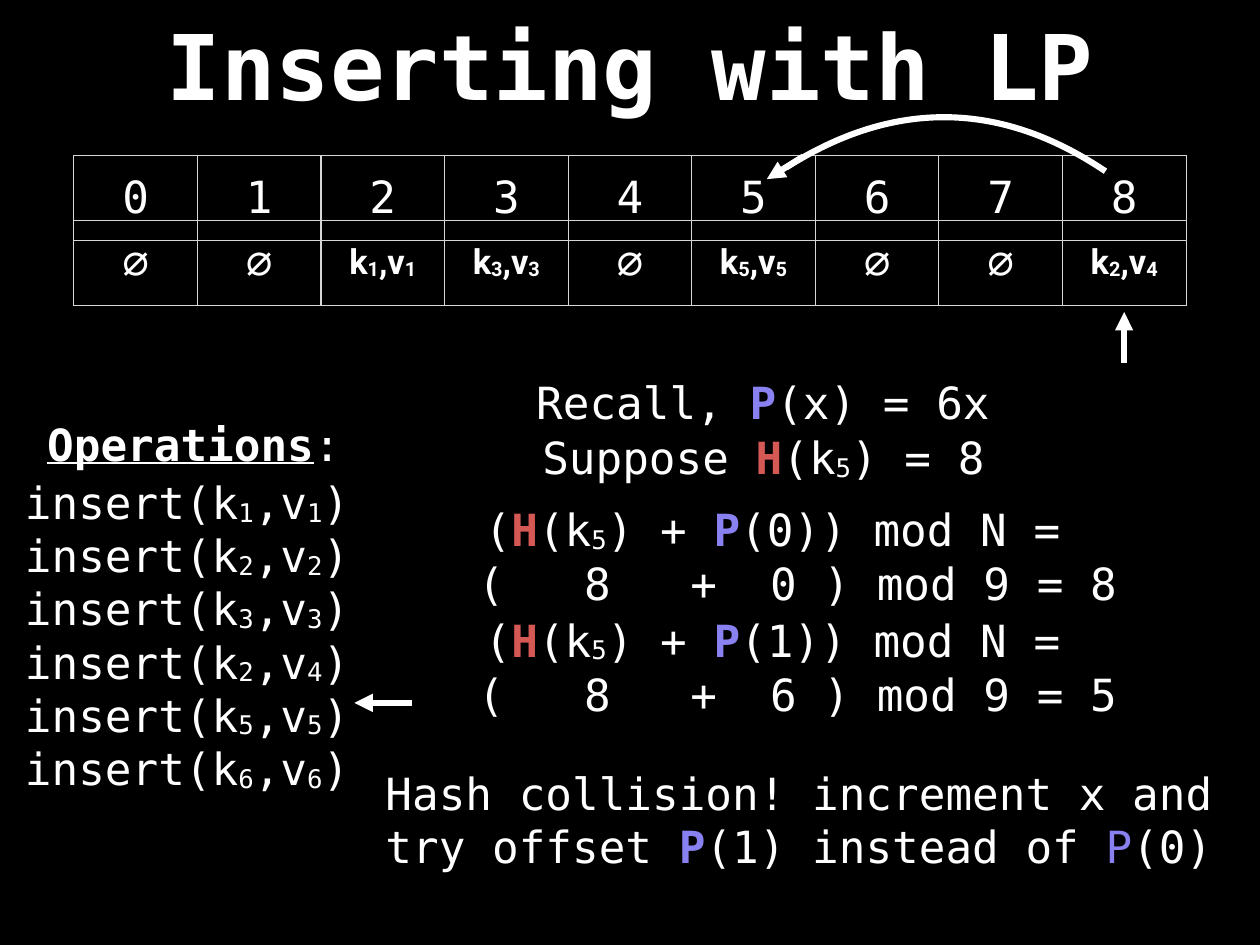
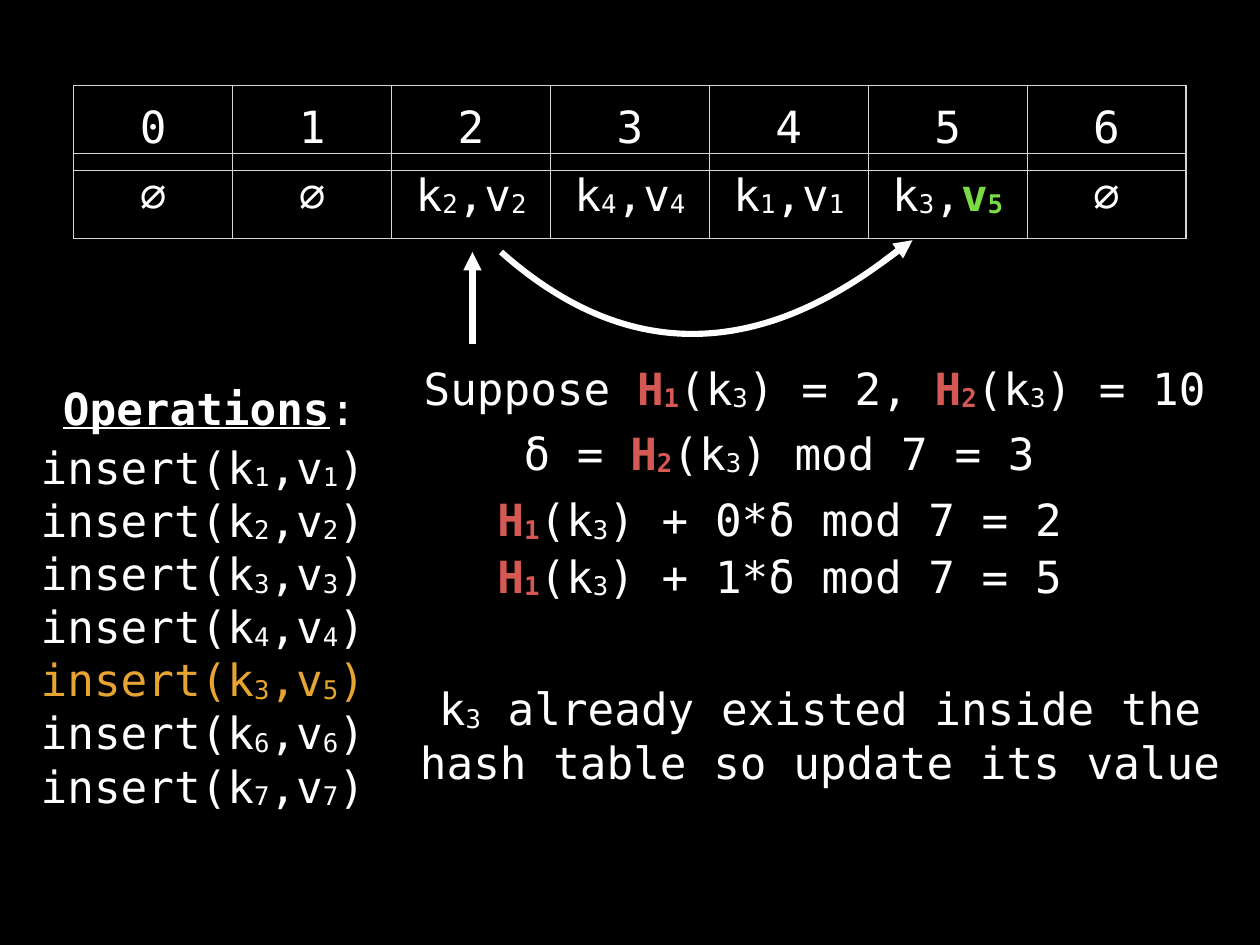
from lxml import etree
from pptx import Presentation
from pptx import util as u
from pptx.dml.color import RGBColor
from pptx.enum import shapes, text
from pptx.oxml.ns import qn

BLACK = RGBColor(0x00, 0x00, 0x00)
WHITE = RGBColor(0xFF, 0xFF, 0xFF)
GRID_LINE = RGBColor(0xD6, 0xD6, 0xD6)
RED = RGBColor(0xD4, 0x58, 0x54)
PURPLE = RGBColor(0x89, 0x81, 0xF0)
GREEN = RGBColor(0x7B, 0xDB, 0x45)
ORANGE = RGBColor(0xE8, 0xA4, 0x32)
EMPHASIS = {"H": RED, "P": PURPLE, "v": GREEN}

MONO, SANS = "DejaVu Sans Mono", "Roboto"
BODY_SIZE, TITLE_SIZE = 36, 73.6
COLUMNS, ROWS = 128, 96
UNIT = u.Pt(8)
CHARACTER = u.Inches(0.3)
LINE = 6.1
TABLE_LEFT, TABLE_WIDTH, TABLE_ROW = 7.5, 113, 8.6
CENTER, LEFT = text.PP_ALIGN.CENTER, text.PP_ALIGN.LEFT


def grid(*lengths):
    return [round(length * UNIT) for length in lengths]


def pieces(markup):
    """Yield (text, emphasis colour, is subscript): |..| emphasises, _ lowers one character."""
    for part_index, part in enumerate(markup.split("|")):
        colour = EMPHASIS.get(part[0], WHITE) if part_index % 2 else None
        for bit_index, bit in enumerate(part.split("_")):
            if bit_index:
                yield bit[0], colour, True
                bit = bit[1:]
            if bit:
                yield bit, colour, False


class Deck:
    def __init__(self):
        self.prs = Presentation()
        self.prs.slide_width, self.prs.slide_height = grid(COLUMNS, ROWS)
        background = self.prs.slide_master.background.fill
        background.solid()
        background.fore_color.rgb = BLACK
        self.slide = None

    def new_slide(self, title=None):
        layout = self.prs.slide_layouts.get_by_name("Title Only" if title else "Blank")
        self.slide = self.prs.slides.add_slide(layout)
        if title:
            heading = self.slide.shapes.title
            heading.left, heading.top, heading.width, heading.height = grid(0, 0.7, COLUMNS, 11.7)
            self.frame(heading.text_frame)
            self.add_runs(heading.text_frame.paragraphs[0], title, CENTER, TITLE_SIZE, bold=True)

    def frame(self, frame, wrap=True, anchor=text.MSO_ANCHOR.MIDDLE):
        frame.margin_left = frame.margin_right = u.Inches(0.06)
        frame.margin_top = frame.margin_bottom = u.Inches(0.06)
        frame.word_wrap = wrap
        frame.vertical_anchor = anchor

    def add_runs(self, paragraph, markup, align=LEFT, size=BODY_SIZE, font=MONO,
                 colour=WHITE, bold=False):
        paragraph.alignment = align
        for words, emphasis, lowered in pieces(markup):
            run = paragraph.add_run()
            run.text = words
            run.font.name = font
            run.font.size = u.Pt(size)
            run.font.bold = bold or emphasis is not None
            run.font.color.rgb = emphasis or colour
            if lowered:
                run.font._element.set("baseline", "-6000")

    def text(self, left, top, width, *lines, height=LINE, align=CENTER, wrap=False,
             anchor=text.MSO_ANCHOR.MIDDLE, highlighted=None):
        """Add lines of markup and return their paragraphs."""
        frame = self.slide.shapes.add_textbox(*grid(left, top, width, height)).text_frame
        self.frame(frame, wrap, anchor)
        for index, line in enumerate(lines):
            paragraph = frame.add_paragraph() if index else frame.paragraphs[0]
            self.add_runs(paragraph, line, align, colour=ORANGE if line == highlighted else WHITE)
        return frame.paragraphs

    def operations(self, left, top, pairs, highlighted=None):
        heading = self.text(left, top, 31, "|Operations|:")[0]
        heading.runs[0].font.underline = True
        calls = [f"insert(k_{key},v_{value})" for key, value in pairs]
        self.text(left - 2.2, top + 5.75, 37.3, *calls, height=5.3 * len(calls), align=LEFT,
                  anchor=text.MSO_ANCHOR.TOP, highlighted=highlighted)

    def aligned_sum(self, left, top, line):
        """Add a sum whose terms stand under those of the line above."""
        paragraph = self.text(left, top, 70, line, align=LEFT, wrap=True)[0]
        tabs = etree.SubElement(paragraph._p.get_or_add_pPr(), qn("a:tabLst"))
        for characters in (4, 8, 11):
            etree.SubElement(tabs, qn("a:tab"), pos=str(characters * CHARACTER), algn="l")

    def table_row(self, top, entries, pair_font=MONO, pair_size=BODY_SIZE, pair_bold=False):
        shape = self.slide.shapes.add_table(
            1, len(entries), *grid(TABLE_LEFT, top, TABLE_WIDTH, TABLE_ROW))
        table = shape.table
        table.first_row = table.horz_banding = False
        for cell, entry in zip(table.rows[0].cells, entries):
            cell.margin_left = cell.margin_right = u.Inches(0.06)
            cell.margin_top = cell.margin_bottom = u.Inches(0.06)
            cell.vertical_anchor = text.MSO_ANCHOR.MIDDLE
            for side in ("lnL", "lnR", "lnT", "lnB"):
                border = etree.SubElement(cell._tc.get_or_add_tcPr(), qn(f"a:{side}"),
                                          w=str(u.Pt(1)))
                fill = etree.SubElement(border, qn("a:solidFill"))
                etree.SubElement(fill, qn("a:srgbClr"), val=str(GRID_LINE))
            cell.fill.background()
            style = (pair_size, pair_font, WHITE, pair_bold) if "k" in entry else ()
            self.add_runs(cell.text_frame.paragraphs[0], entry, CENTER, *style)

    def hash_table(self, top, value_offset, values, **pair_style):
        self.table_row(top + value_offset, values, **pair_style)
        self.table_row(top, [str(index) for index in range(len(values))])

    def stroke(self, line):
        line.color.rgb = WHITE
        line.width = u.Pt(5)

    def arrow(self, *ends):
        arrow = self.slide.shapes.add_connector(shapes.MSO_CONNECTOR.STRAIGHT, *grid(*ends))
        self.stroke(arrow.line)
        etree.SubElement(arrow.line._get_or_add_ln(), qn("a:tailEnd"), type="triangle")
        etree.SubElement(arrow._element.spPr, qn("a:effectLst"))

    def curve(self, start, *controls_and_end):
        """Draw one cubic curve through two control points."""
        builder = self.slide.shapes.build_freeform(*grid(*start))
        builder.add_line_segments([grid(*point) for point in controls_and_end], close=False)
        shape = builder.convert_to_shape()
        shape.shadow.inherit = False
        shape.fill.background()
        self.stroke(shape.line)
        outline = next(shape._element.iter(qn("a:path")))
        bezier = etree.SubElement(outline, qn("a:cubicBezTo"))
        for segment in outline.findall(qn("a:lnTo")):
            bezier.append(segment[0])
            outline.remove(segment)


def linear_probing(deck):
    deck.new_slide("Inserting with LP")
    deck.hash_table(15.8, 6.6, ["∅", "∅", "k_1,v_1", "k_3,v_3", "∅", "k_5,v_5", "∅", "∅", "k_2,v_4"],
                    pair_font=SANS, pair_size=28, pair_bold=True)
    deck.curve((79.9, 17), (90.8, 10.1), (101.6, 10.2), (112.3, 17.4))
    deck.arrow(81.6, 15.9, 77.9, 18.2)
    deck.arrow(114.2, 36.9, 114.2, 31.7)

    deck.operations(4.2, 42, [(1, 1), (2, 2), (3, 3), (2, 4), (5, 5), (6, 6)])
    deck.arrow(41.85, 71.4, 36, 71.4)

    deck.text(53.9, 37.8, 47.2, "Recall, |P|(x) = 6x")
    deck.text(54.4, 43.4, 46.3, "Suppose |H|(k_5) = 8")
    for attempt, (offset, slot) in enumerate([(0, 8), (6, 5)]):
        top = 50.7 + 11.2 * attempt
        deck.text(48.7, top, 62.6, f"(|H|(k_5) + |P|({attempt})) mod N =", align=LEFT)
        deck.aligned_sum(48, top + 5.5, f"(\t8\t+\t{offset} ) mod 9 = {slot}")
    collision = deck.text(
        35.5, 77.6, 91.3,
        "Hash collision! increment x and try offset |P|(1) instead of |P|(0)",
        height=11.3, wrap=True)[0]
    collision.runs[3].font.bold = False


def double_hashing(deck):
    deck.new_slide()
    deck.hash_table(8.7, 6.9, ["∅", "∅", "k_2,v_2", "k_4,v_4", "k_1,v_1", "k_3,|v_5|", "∅"])
    deck.arrow(48, 34.9, 48, 25.6)
    deck.curve((91.4, 25.3), (77.1, 36.7), (63.5, 36.8), (50.9, 25.6))
    deck.arrow(89.7, 26.6, 92.7, 24.4)

    deck.operations(5.8, 38.4, [(1, 1), (2, 2), (3, 3), (4, 4), (3, 5), (6, 6), (7, 7)],
                    highlighted="insert(k_3,v_5)")

    deck.text(42.5, 36.3, 81.5, "Suppose |H_1|(k_3) = 2, |H_2|(k_3) = 10", align=LEFT)
    deck.text(52.4, 42.9, 53.5, "δ = |H_2|(k_3) mod 7 = 3")
    for attempt, slot in enumerate([2, 5]):
        deck.text(49.7, 49.7 + 5.7 * attempt, 59, f"|H_1|(k_3) + {attempt}*δ mod 7 = {slot}")
    deck.text(38.6, 69, 89.4,
              "k_3 already existed inside the hash table so update its value",
              height=11.3, wrap=True)


def main():
    deck = Deck()
    linear_probing(deck)
    double_hashing(deck)
    deck.prs.save("out.pptx")


if __name__ == "__main__":
    main()
